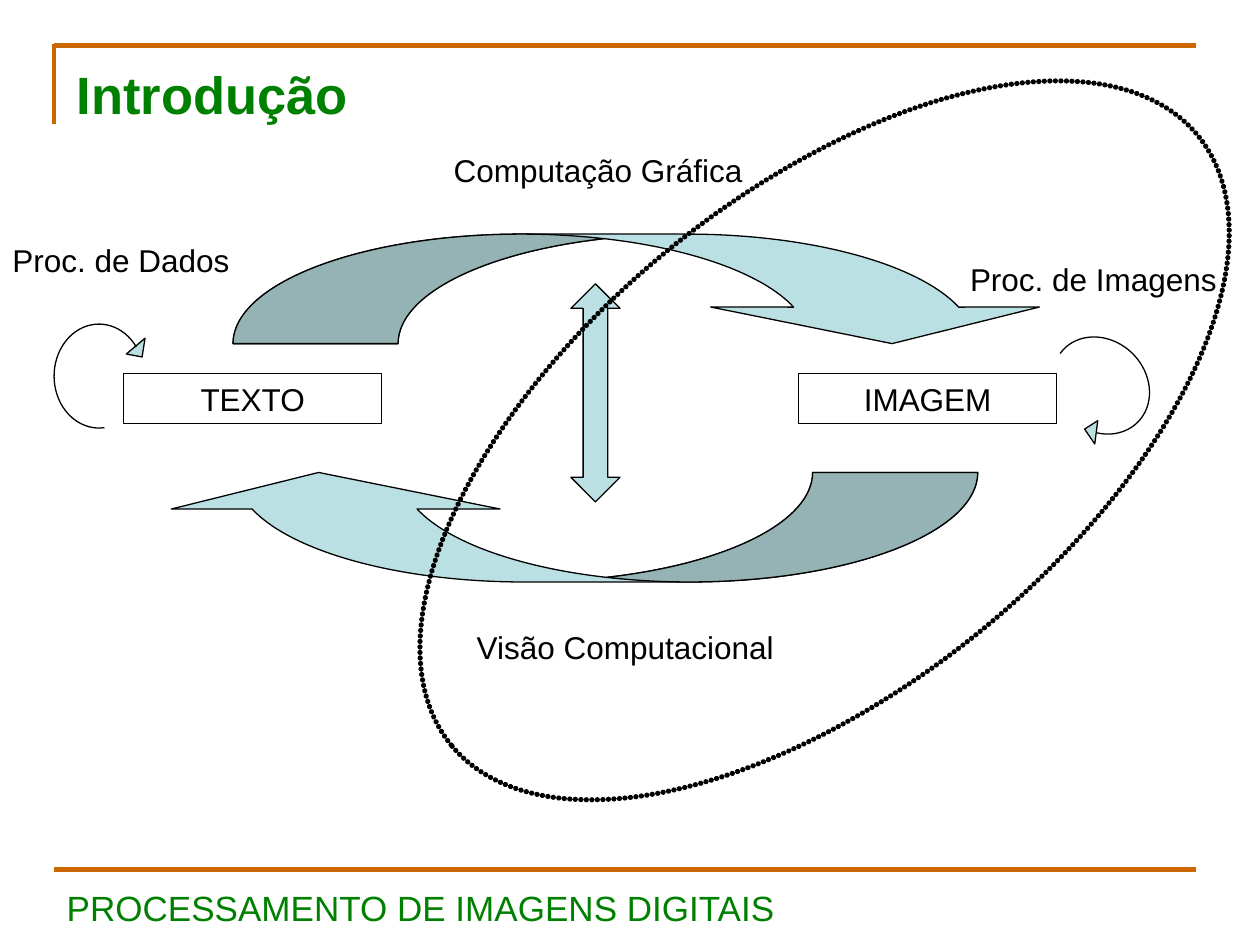
from dataclasses import dataclass
from math import ceil, cos, radians, sin, tan
from typing import Optional

from lxml import etree
from pptx import Presentation
from pptx import util as u
from pptx.dml.color import RGBColor
from pptx.enum import shapes, text
from pptx.oxml import ns

ORANGE = RGBColor(0xCC, 0x66, 0x00)
GREEN = RGBColor(0x00, 0x80, 0x00)
BLACK = RGBColor(0x00, 0x00, 0x00)
AQUA = RGBColor(0xBB, 0xE0, 0xE3)
Point = tuple[float, float]
Stroke = list[Point]

FRAME_FORMAT = {
    "word_wrap": True,
    "auto_size": text.MSO_AUTO_SIZE.NONE,
    "vertical_anchor": text.MSO_ANCHOR.MIDDLE,
    "margin_left": u.Pt(7.2),
    "margin_right": u.Pt(7.2),
    "margin_top": u.Pt(3.6),
    "margin_bottom": u.Pt(3.6),
}


@dataclass(frozen=True)
class Label:
    words: str
    left: float
    top: float
    width: float
    height: float = 28.8
    size: float = 18
    color: RGBColor = BLACK
    bold: bool = False
    align: text.PP_ALIGN = text.PP_ALIGN.LEFT
    boxed: bool = False


@dataclass(frozen=True)
class Ellipse:
    x: float
    y: float
    rx: float
    ry: float
    tilt: float = 0

    def place(self, across: float, down: float) -> Point:
        turn = radians(self.tilt)
        across, down = across * self.rx, down * self.ry
        return (self.x + across * cos(turn) - down * sin(turn),
                self.y + across * sin(turn) + down * cos(turn))

    def at(self, degrees: float) -> Point:
        return self.place(cos(radians(degrees)), sin(radians(degrees)))

    def arc(self, start: float, end: float) -> list[Stroke]:
        count = ceil(abs(end - start) / 90)
        step = radians(end - start) / count
        pull = 4 / 3 * tan(step / 4)
        curves = []
        for index in range(count):
            a = radians(start) + index * step
            b = a + step
            curves.append([self.place(cos(a) - pull * sin(a), sin(a) + pull * cos(a)),
                           self.place(cos(b) + pull * sin(b), sin(b) - pull * cos(b)),
                           self.place(cos(b), sin(b))])
        return curves


@dataclass(frozen=True)
class Contour:
    start: Point
    strokes: list[Stroke]
    fill: str = "norm"
    closed: bool = True


@dataclass(frozen=True)
class Loop:
    ellipse: Ellipse
    start: float
    end: float
    head: list[Point]


RULES = [
    (31, 70.6, 31, 25.2),
    (31, 26, 683.3, 26),
    (31, 496.8, 683.3, 496.8),
]
CENTER = text.PP_ALIGN.CENTER
LABELS = [
    Label("Introdução", 36.7, 31.7, 640.8, 43.2, 30, GREEN, True),
    Label("PROCESSAMENTO DE IMAGENS DIGITAIS", 31, 502.6, 475.9, 31.7, 20, GREEN),
    Label("TEXTO", 70.6, 213.3, 147.6, align=CENTER, boxed=True),
    Label("IMAGEM", 456.3, 213.3, 147.6, align=CENTER, boxed=True),
    Label("Computação Gráfica", 252.2, 82.8, 181.4),
    Label("Visão Computacional", 241, 355, 232.6, align=CENTER),
    Label("Proc. de Dados", 0, 133.9, 150.5),
    Label("Proc. de Imagens", 547.2, 145, 164.2),
]
LOOPS = [
    Loop(Ellipse(56.6, 214.9, 29.7, 25.7, 90), -7, 236,
         [(82.9, 193.3), (81.2, 204), (72.2, 202.3)]),
    Loop(Ellipse(629.1, 220.3, 29.7, 25.7, 45), 172, 414,
         [(619.8, 245.2), (627.3, 240.4), (625.6, 253.7)]),
]

TAIL_ARCH = Ellipse(298.1, 196.4, 164.9, 62.6)
HEAD_ARCH = Ellipse(392.4, 196.4, 164.9, 62.6)
CROSSING = 16.6
NECK = 19.47
ARROW_HEAD = [(594, 175.5), (509.8, 196.4), (406.1, 175.5)]
HALF_TURN = (691.9, 466.4)


def style(shape, fill: Optional[RGBColor], weight: float = 0.75) -> None:
    shape.shadow.inherit = False
    if fill is None:
        shape.fill.background()
    else:
        shape.fill.solid()
        shape.fill.fore_color.rgb = fill
    shape.line.color.rgb = BLACK
    shape.line.width = u.Pt(weight)


def draw_rule(slide, ends: tuple[float, float, float, float]) -> None:
    rule = slide.shapes.add_connector(shapes.MSO_CONNECTOR.STRAIGHT, *map(u.Pt, ends))
    rule.line.color.rgb = ORANGE
    rule.line.width = u.Pt(2.5)
    etree.SubElement(rule._element.spPr, ns.qn("a:effectLst"))


def draw_label(slide, label: Label) -> None:
    place = [u.Pt(n) for n in (label.left, label.top, label.width, label.height)]
    if label.boxed:
        holder = slide.shapes.add_shape(shapes.MSO_SHAPE.RECTANGLE, *place)
        style(holder, None)
    else:
        holder = slide.shapes.add_textbox(*place)
    for name, value in FRAME_FORMAT.items():
        setattr(holder.text_frame, name, value)
    paragraph = holder.text_frame.paragraphs[0]
    paragraph.alignment = label.align
    run = paragraph.add_run()
    run.text = label.words
    font_format = {"name": "Arial", "size": u.Pt(label.size), "bold": label.bold}
    for name, value in font_format.items():
        setattr(run.font, name, value)
    run.font.color.rgb = label.color


def draw_contours(slide, contours: list[Contour]) -> None:
    ends = [(u.Pt(x), u.Pt(y)) for contour in contours
            for x, y in [contour.start] + [stroke[-1] for stroke in contour.strokes]]
    builder = slide.shapes.build_freeform(*ends[0])
    builder.add_line_segments(ends[1:])
    figure = builder.convert_to_shape()
    style(figure, AQUA)
    outlines = figure._element.spPr.find(".//" + ns.qn("a:pathLst"))
    outlines.clear()
    for contour in contours:
        outline = etree.SubElement(outlines, ns.qn("a:path"), w=str(figure.width),
                                   h=str(figure.height), fill=contour.fill)
        moves = [("a:moveTo", [contour.start])]
        moves += [("a:lnTo" if len(stroke) == 1 else "a:cubicBezTo", stroke)
                  for stroke in contour.strokes]
        for tag, points in moves:
            move = etree.SubElement(outline, ns.qn(tag))
            for x, y in points:
                etree.SubElement(move, ns.qn("a:pt"), x=str(u.Pt(x) - figure.left),
                                 y=str(u.Pt(y) - figure.top))
        if contour.closed:
            etree.SubElement(outline, ns.qn("a:close"))


def half_turn(contour: Contour) -> Contour:
    def turn(point: Point) -> Point:
        return HALF_TURN[0] - point[0], HALF_TURN[1] - point[1]

    strokes = [[turn(point) for point in stroke] for stroke in contour.strokes]
    return Contour(turn(contour.start), strokes, contour.fill)


def curved_arrow() -> list[Contour]:
    inner = HEAD_ARCH.arc(270 - CROSSING, 180)
    body = (TAIL_ARCH.arc(180, 270) + [[HEAD_ARCH.at(270)]]
            + HEAD_ARCH.arc(270, 360 - NECK) + [[point] for point in ARROW_HEAD]
            + [[TAIL_ARCH.at(360 - NECK)]]
            + TAIL_ARCH.arc(360 - NECK, 270 + CROSSING) + inner)
    shade = TAIL_ARCH.arc(180, 270 + CROSSING) + inner
    return [Contour(TAIL_ARCH.at(180), body),
            Contour(TAIL_ARCH.at(180), shade, "darkenLess")]


def draw_loop(slide, loop: Loop) -> None:
    bend = loop.ellipse.arc(loop.start, loop.end)
    head = [[point] for point in loop.head[1:]]
    draw_contours(slide, [Contour(loop.ellipse.at(loop.start), bend, "none", False),
                          Contour(loop.head[0], head)])


def draw_exchange_arrow(slide) -> None:
    arrow = slide.shapes.add_shape(shapes.MSO_SHAPE.UP_DOWN_ARROW,
                                   *map(u.Pt, (326.2, 162.2, 28.1, 124.6)))
    arrow.adjustments[0] = 0.88
    arrow.adjustments[1] = 0.5
    style(arrow, AQUA)


def draw_dotted_ring(slide) -> None:
    ring = slide.shapes.add_shape(shapes.MSO_SHAPE.OVAL,
                                  *map(u.Pt, (195.8, 110.9, 550.8, 281.5)))
    ring.rotation = 320.8
    style(ring, None, 3)
    outline = ring.line._get_or_add_ln()
    outline.set("cap", "rnd")
    dashes = etree.SubElement(outline, ns.qn("a:custDash"))
    etree.SubElement(dashes, ns.qn("a:ds"), d="100000", sp="5000")


def main() -> None:
    deck = Presentation()
    deck.slide_width, deck.slide_height = u.Pt(720), u.Pt(540)
    slide = deck.slides.add_slide(deck.slide_layouts[6])
    for rule in RULES:
        draw_rule(slide, rule)
    for label in LABELS:
        draw_label(slide, label)
    arrow = curved_arrow()
    draw_contours(slide, arrow)
    draw_contours(slide, [half_turn(contour) for contour in arrow])
    draw_exchange_arrow(slide)
    for loop in LOOPS:
        draw_loop(slide, loop)
    draw_dotted_ring(slide)
    deck.save("out.pptx")


if __name__ == "__main__":
    main()
